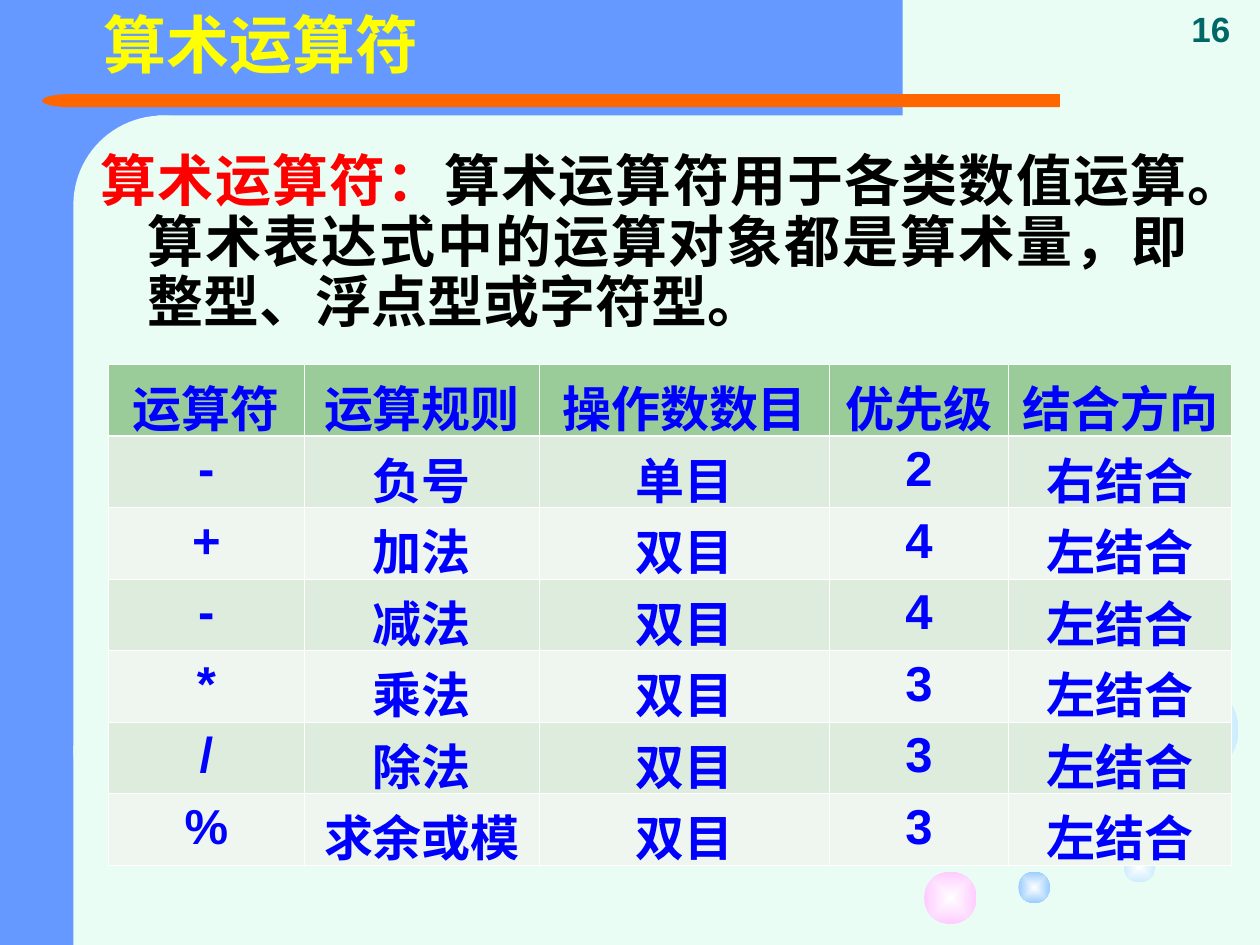
from typing import NamedTuple

from lxml.etree import SubElement
from pptx import Presentation
from pptx.dml.color import RGBColor
from pptx.enum.shapes import MSO_SHAPE
from pptx.enum.text import MSO_ANCHOR, MSO_AUTO_SIZE, PP_ALIGN
from pptx.oxml.ns import qn
from pptx.util import Cm, Pt

COLORS = {
    "mint": "E9FDF4", "blue": "6699FF", "orange": "FF6600",
    "white": "FFFFFF", "pink": "FFCCFF", "pale": "CCECFF", "sky": "99CCFF",
    "red": "FF0000", "black": "000000", "yellow": "FFFF00", "teal": "006666",
    "cell_text": "0000FF", "header": "99CC99", "odd": "DEECDE", "even": "EFF6EF",
}
CJK_FONT = "Noto Sans CJK SC"


class Block(NamedTuple):
    kind: MSO_SHAPE
    left: float
    top: float
    width: float
    height: float
    color: str


class Bubble(NamedTuple):
    left: float
    top: float
    size: float
    color: str


FRAME = [
    Block(MSO_SHAPE.RECTANGLE, 0, 0, 3.18, 19.05, "blue"),
    Block(MSO_SHAPE.RECTANGLE, 1.27, 0, 16.93, 2.33, "blue"),
    Block(MSO_SHAPE.ROUNDED_RECTANGLE, 1.48, 2.33, 3.6, 14.6, "mint"),
    Block(MSO_SHAPE.RECTANGLE, 1.9, 1.9, 19.47, 0.26, "orange"),
    Block(MSO_SHAPE.FLOWCHART_DELAY, 0.85, 1.9, 1.08, 0.26, "orange"),
    Block(MSO_SHAPE.RECTANGLE, 1.48, 15.03, 3.6, 4.02, "mint"),
]
BUBBLES = [
    Bubble(18.63, 17.57, 1.06, "pink"),
    Bubble(22.65, 17.15, 0.64, "pale"),
    Bubble(23.07, 13.76, 1.9, "pale"),
    Bubble(20.53, 17.57, 0.64, "sky"),
]
COLUMN_WIDTHS = [3.94, 4.75, 5.84, 3.61, 4.5]
ROW_HEIGHT = 1.44
OPERATORS = [
    ("运算符", "运算规则", "操作数数目", "优先级", "结合方向"),
    ("-", "负号", "单目", "2", "右结合"),
    ("+", "加法", "双目", "4", "左结合"),
    ("-", "减法", "双目", "4", "左结合"),
    ("*", "乘法", "双目", "3", "左结合"),
    ("/", "除法", "双目", "3", "左结合"),
    ("%", "求余或模", "双目", "3", "左结合"),
]


def rgb(name: str) -> RGBColor:
    return RGBColor.from_string(COLORS[name])


def add_span(para, text: str, *, size: float, color: str, font: str = "Arial") -> None:
    span = para.add_run()
    span.text = text
    span.font.size = Pt(size)
    span.font.bold = True
    span.font.name = font
    span.font.color.rgb = rgb(color)
    SubElement(span.font._element, qn("a:ea"), typeface=CJK_FONT)


def draw_block(page, block: Block):
    shape = page.shapes.add_shape(block.kind, Cm(block.left), Cm(block.top),
                                  Cm(block.width), Cm(block.height))
    shape.shadow.inherit = False
    shape.line.fill.background()
    shape.fill.solid()
    shape.fill.fore_color.rgb = rgb(block.color)
    if block.kind == MSO_SHAPE.ROUNDED_RECTANGLE:
        shape.adjustments[0] = 0.5
    if block.kind == MSO_SHAPE.FLOWCHART_DELAY:
        shape._element.spPr.find(qn("a:xfrm")).set("flipH", "1")
    return shape


def draw_bubble(page, bubble: Bubble) -> None:
    """Draw a circle shaded from a white centre to its colour."""
    shape = draw_block(page, Block(MSO_SHAPE.OVAL, bubble.left, bubble.top,
                                   bubble.size, bubble.size, bubble.color))
    shape.fill.gradient()
    for stop, color, position in zip(shape.fill.gradient_stops,
                                     ("white", bubble.color), (0, 1)):
        stop.color.rgb = rgb(color)
        stop.position = position
    gradient = shape._element.spPr.find(qn("a:gradFill"))
    gradient.remove(gradient.find(qn("a:lin")))
    center = SubElement(gradient, qn("a:path"), attrib={"path": "rect"})
    SubElement(center, qn("a:fillToRect"), dict.fromkeys("ltrb", "50000"))


def set_borders(cell, widths: dict[str, float]) -> None:
    properties = cell._tc.get_or_add_tcPr()
    for side, width in widths.items():
        line = SubElement(properties, qn(f"a:ln{side}"), w=str(Pt(width)))
        fill = SubElement(line, qn("a:solidFill"))
        SubElement(fill, qn("a:srgbClr"), val=COLORS["white"])


def draw_table(page) -> None:
    table = page.shapes.add_table(
        len(OPERATORS), len(COLUMN_WIDTHS), Cm(2.19), Cm(7.35),
        Cm(sum(COLUMN_WIDTHS)), Cm(ROW_HEIGHT * len(OPERATORS))).table
    for column, width in zip(table.columns, COLUMN_WIDTHS):
        column.width = Cm(width)
    for index, values in enumerate(OPERATORS):
        table.rows[index].height = Cm(ROW_HEIGHT)
        color = "header" if index == 0 else "odd" if index % 2 else "even"
        top = 1.47 if index == 1 else 0.45
        bottom = 1.47 if index == 0 else 0.45
        for cell, value in zip(table.rows[index].cells, values):
            set_borders(cell, {"L": 0.45, "R": 0.45, "T": top, "B": bottom})
            cell.fill.solid()
            cell.fill.fore_color.rgb = rgb(color)
            para = cell.text_frame.paragraphs[0]
            para.alignment = PP_ALIGN.CENTER
            add_span(para, value, size=28, color="cell_text")


def write_title(page) -> None:
    title = page.shapes.title
    title.left, title.top, title.width, title.height = Cm(1.83), Cm(0.15), Cm(6.86), Cm(1.63)
    page.shapes._spTree.append(title._element)  # bring in front of the frame
    frame = title.text_frame
    frame.word_wrap = False
    frame.auto_size = MSO_AUTO_SIZE.SHAPE_TO_FIT_TEXT
    frame.vertical_anchor = MSO_ANCHOR.TOP
    para = frame.paragraphs[0]
    para.alignment = PP_ALIGN.LEFT
    para.line_spacing = 0.9
    add_span(para, "算术运算符", size=36, color="yellow", font=CJK_FONT)


def write_definition(page) -> None:
    box = page.shapes.add_textbox(Cm(1.78), Cm(2.97), Cm(22.43), Cm(3.96))
    box.text_frame.word_wrap = True
    para = box.text_frame.paragraphs[0]
    para.alignment = PP_ALIGN.JUSTIFY
    para.line_spacing = 0.9
    indent = Cm(0.95)
    properties = para._p.get_or_add_pPr()
    properties.set("marL", str(indent))
    properties.set("indent", str(-indent))
    add_span(para, "算术运算符：", size=32, color="red")
    add_span(para, "算术运算符用于各类数值运算。算术表达式中的运算对象都是算术量，"
                   "即整型、浮点型或字符型。", size=32, color="black")


def write_page_number(page) -> None:
    box = page.shapes.add_textbox(Cm(23.77), Cm(0), Cm(1.63), Cm(1.12))
    box.text_frame.word_wrap = True
    box.text_frame.vertical_anchor = MSO_ANCHOR.BOTTOM
    add_span(box.text_frame.paragraphs[0], "16", size=20, color="teal")


def main() -> None:
    deck = Presentation()
    deck.slide_width, deck.slide_height = Cm(25.4), Cm(19.05)
    page = deck.slides.add_slide(deck.slide_layouts[5])
    page.background.fill.solid()
    page.background.fill.fore_color.rgb = rgb("mint")
    for block in FRAME:
        draw_block(page, block)
    for bubble in BUBBLES:
        draw_bubble(page, bubble)
    write_definition(page)
    write_title(page)
    write_page_number(page)
    draw_table(page)
    deck.save("out.pptx")


if __name__ == "__main__":
    main()
